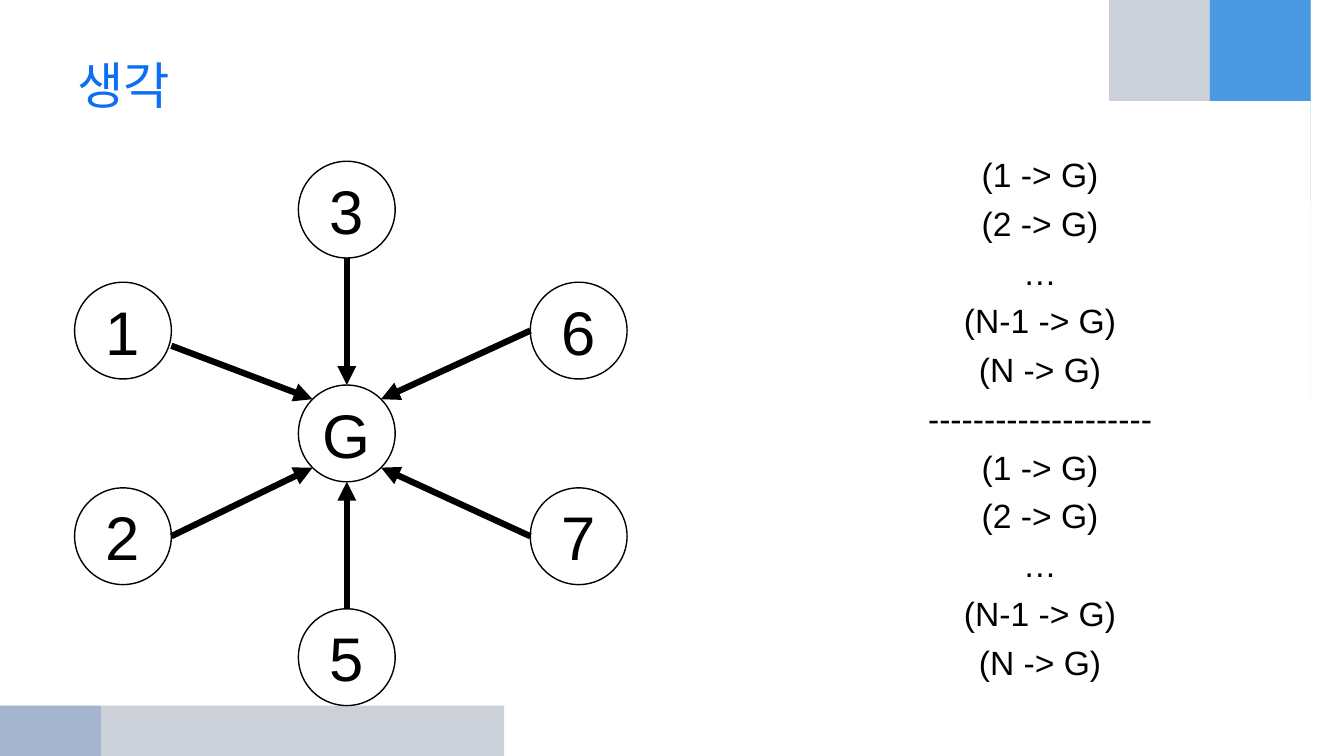
import math

from lxml import etree
from pptx import Presentation
from pptx.dml.color import RGBColor
from pptx.enum.shapes import MSO_CONNECTOR, MSO_SHAPE
from pptx.enum.text import MSO_ANCHOR, PP_ALIGN
from pptx.oxml.ns import qn
from pptx.util import Inches, Pt

STRAIGHT, OVAL = MSO_CONNECTOR.STRAIGHT, MSO_SHAPE.OVAL
MIDDLE, TOP = MSO_ANCHOR.MIDDLE, MSO_ANCHOR.TOP
LEFT, CENTER = PP_ALIGN.LEFT, PP_ALIGN.CENTER

FONT = "Arial"
COLORS = {
    "black": "000000", "white": "FFFFFF", "title": "0C6FF2",
    "cyan": "00B1E9", "navy": "021741", "azure": "247FF4", "deep": "084AA1",
}
SLIDE_W, SLIDE_H = 13.33, 7.5
NODE_SIZE = 0.96
# Node label: centre offset from the hub, and vertical shift of its arrow's start
NODES = {
    "1": (-2.22, -1.02, 0.15), "2": (-2.22, 1.02, 0), "3": (0, -2.22, 0),
    "5": (0, 2.22, 0), "6": (2.3, -1.02, 0), "7": (2.3, 1.02, 0),
}
STEPS = ["(1 -> G)", "(2 -> G)", "…", "(N-1 -> G)", "(N -> G)"]


def color(name):
    return RGBColor.from_string(COLORS[name])


def write(shape, lines, size, color_name, align, anchor, space_before=0):
    frame = shape.text_frame
    frame.word_wrap = True
    frame.vertical_anchor = anchor
    frame.text = "\n".join(lines)
    for paragraph in frame.paragraphs:
        paragraph.alignment = align
        paragraph.space_before = Pt(space_before)
        paragraph.font.name = FONT
        paragraph.font.size = Pt(size)
        paragraph.font.color.rgb = color(color_name)


def add_swoosh(slide, corner, width, height, color_name, opacity):
    """Fill a slide corner up to a curve; signed width and height point inward."""
    corner_x, corner_y = corner
    curve = []
    for step in range(41):
        angle = math.pi / 2 * step / 40
        across = 1 - math.sin(angle) ** 1.14
        down = 1 - max(math.cos(angle), 0) ** 1.14
        curve.append((corner_x + width * across, corner_y + height * down))
    builder = slide.shapes.build_freeform(corner_x, corner_y, scale=Inches(1))
    builder.add_line_segments(curve, close=True)
    swoosh = builder.convert_to_shape()
    swoosh.shadow.inherit = False
    swoosh.line.fill.background()
    swoosh.fill.solid()
    swoosh.fill.fore_color.rgb = color(color_name)
    rgb = swoosh.fill._xPr.find(".//" + qn("a:srgbClr"))
    etree.SubElement(rgb, qn("a:alpha"), val=str(opacity * 1000))


def add_background(slide, width, height):
    top_right, bottom_left = (width, 0), (0, height)
    add_swoosh(slide, top_right, -1.44, 4.08, "cyan", 45)
    add_swoosh(slide, top_right, -4.44, 2.15, "navy", 20)
    add_swoosh(slide, top_right, -4.44, 1.55, "azure", 49)
    add_swoosh(slide, bottom_left, 5, -1.42, "navy", 20)
    add_swoosh(slide, bottom_left, 1.48, -2.92, "deep", 20)


def add_title(slide, left, top, width, height):
    title = slide.shapes.add_textbox(*map(Inches, (left, top, width, height)))
    write(title, ["생각"], 36, "title", LEFT, MIDDLE)


def add_step_list(slide, left, top, width, height):
    steps = slide.shapes.add_textbox(*map(Inches, (left, top, width, height)))
    write(steps, STEPS + ["-" * 20] + STEPS, 24, "black", CENTER, TOP, 6)


def add_node(slide, label, center_x, center_y):
    box = (center_x - NODE_SIZE / 2, center_y - NODE_SIZE / 2, NODE_SIZE, NODE_SIZE)
    node = slide.shapes.add_shape(OVAL, *map(Inches, box))
    node.shadow.inherit = False
    node.fill.solid()
    node.fill.fore_color.rgb = color("white")
    node.line.color.rgb = color("black")
    node.line.width = Pt(1)
    write(node, [label], 44, "black", CENTER, MIDDLE)


def add_arrow(slide, start, end):
    arrow = slide.shapes.add_connector(STRAIGHT, *map(Inches, start + end))
    arrow.line.color.rgb = color("black")
    arrow.line.width = Pt(4.5)
    etree.SubElement(arrow.line._get_or_add_ln(), qn("a:tailEnd"), type="triangle")
    etree.SubElement(arrow._element.spPr, qn("a:effectLst"))


def add_star_graph(slide, left, top, width, height):
    # The hub sits where the left and upper spokes reach the box edges
    radius = NODE_SIZE / 2
    hub_x, hub_y = left + 2.22 + radius, top + height / 2
    add_node(slide, "G", hub_x, hub_y)
    for label, (dx, dy, _) in NODES.items():
        add_node(slide, label, hub_x + dx, hub_y + dy)

    # Arrows leave each node on the side facing the hub
    diagonal = radius * math.sqrt(0.5)
    for dx, dy, start_shift in NODES.values():
        side_x, side_y = (dx > 0) - (dx < 0), (dy > 0) - (dy < 0)
        if dx:
            start = (hub_x + dx - side_x * radius, hub_y + dy + start_shift)
            reach = diagonal
        else:
            start = (hub_x, hub_y + dy - side_y * radius)
            reach = radius
        add_arrow(slide, start, (hub_x + side_x * reach, hub_y + side_y * reach))


def build_slide(presentation):
    slide = presentation.slides.add_slide(presentation.slide_layouts[6])
    add_background(slide, SLIDE_W, SLIDE_H)
    add_title(slide, 0.67, 0.33, 12, 1.01)
    add_step_list(slide, 7.97, 1.48, 4.69, 5.85)
    add_star_graph(slide, 0.74, 1.6, 5.48, 5.4)


presentation = Presentation()
presentation.slide_width = Inches(SLIDE_W)
presentation.slide_height = Inches(SLIDE_H)
build_slide(presentation)
presentation.save("out.pptx")
